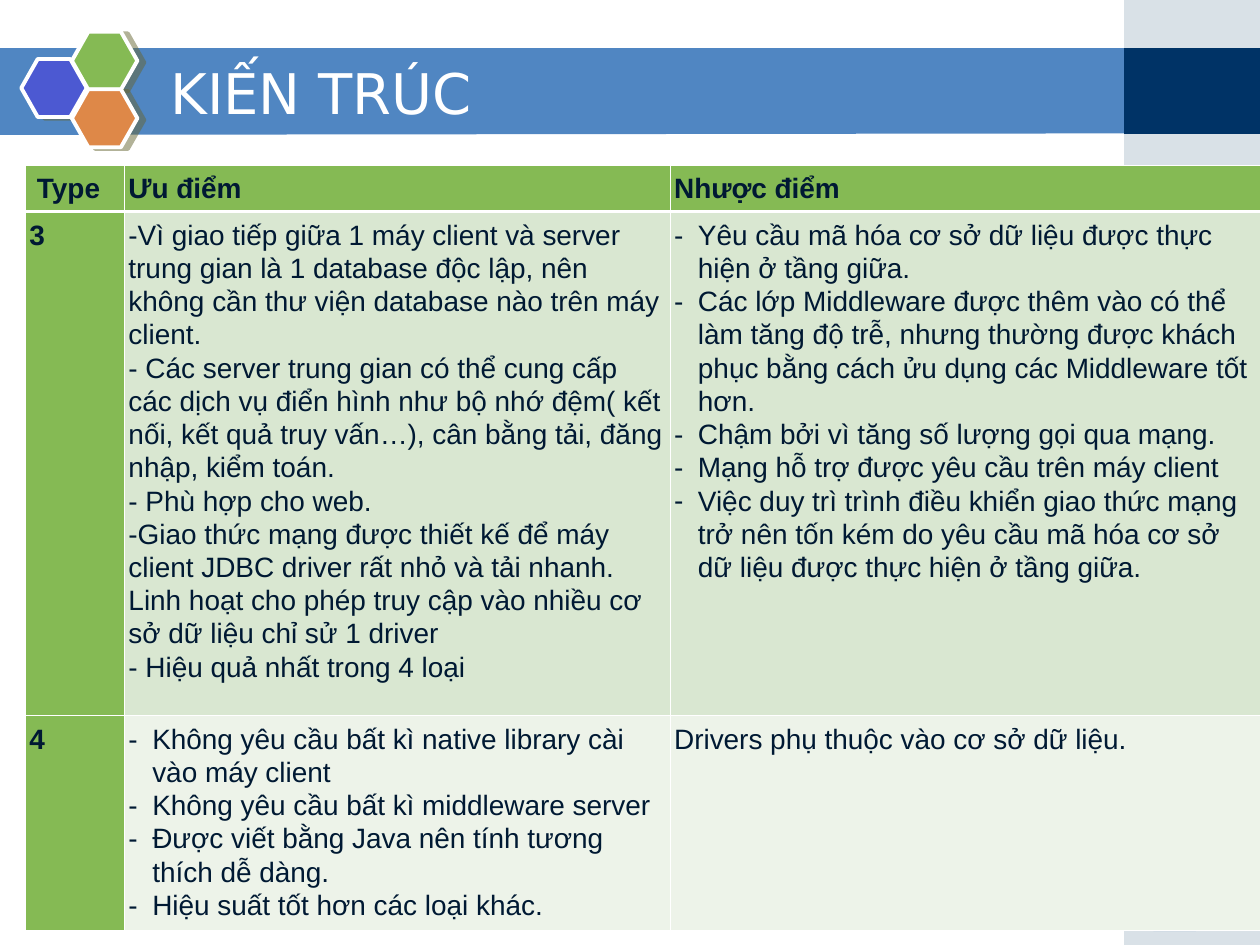
from pptx import Presentation
from pptx.dml.color import RGBColor
from pptx.enum.shapes import MSO_SHAPE
from pptx.enum.text import MSO_ANCHOR, MSO_AUTO_SIZE, PP_ALIGN
from pptx.oxml.ns import qn
from pptx.oxml.xmlchemy import OxmlElement
from pptx.util import Cm, Pt

RECTANGLE = MSO_SHAPE.RECTANGLE
HEXAGON = MSO_SHAPE.HEXAGON
MIDDLE = MSO_ANCHOR.MIDDLE
LEFT = PP_ALIGN.LEFT
NO_AUTOFIT = MSO_AUTO_SIZE.NONE

COLORS = {
    "white": "FFFFFF", "banner": "5086C2", "navy": "003366", "side": "A0B5C4",
    "violet": "4C59D2", "green": "85BA54", "orange": "DE8848",
    "shadow": "666633", "text": "001933", "row 3": "D9E7D1", "row 4": "EDF3E9",
}

HEADERS = [" Type", "Ưu điểm", "Nhược điểm"]
TYPE_3_PROS = [
    "-Vì giao tiếp giữa 1 máy client và server trung gian là 1 database độc lập, "
    "nên không cần thư viện database nào trên máy client.",
    "- Các server trung gian có thể cung cấp các dịch vụ điển hình như bộ nhớ đệm( "
    "kết nối, kết quả truy vấn…), cân bằng tải, đăng nhập, kiểm toán.",
    "- Phù hợp cho web.",
    "-Giao thức mạng được thiết kế để máy client JDBC driver rất nhỏ và tải nhanh.",
    "Linh hoạt cho phép truy cập vào nhiều cơ sở dữ liệu chỉ sử 1 driver",
    "- Hiệu quả nhất trong 4 loại",
]
TYPE_3_CONS = [
    "Yêu cầu mã hóa cơ sở dữ liệu được thực hiện ở tầng giữa.",
    "Các lớp Middleware được thêm vào có thể làm tăng độ trễ, nhưng thường được "
    "khách phục bằng cách ửu dụng các Middleware tốt hơn.",
    "Chậm bởi vì tăng số lượng gọi qua mạng.",
    "Mạng hỗ trợ được yêu cầu trên máy client",
    "Việc duy trì trình điều khiển giao thức mạng trở nên tốn kém do yêu cầu mã hóa "
    "cơ sở dữ liệu được thực hiện ở tầng giữa.",
]
TYPE_4_PROS = [
    "Không yêu cầu bất kì native library cài vào máy client",
    "Không yêu cầu bất kì middleware server",
    "Được viết bằng Java nên tính tương thích dễ dàng.",
    "Hiệu suất tốt hơn các loại khác.",
]
TYPE_4_CONS = ["Drivers phụ thuộc vào cơ sở dữ liệu."]


def rgb(name):
    return RGBColor.from_string(COLORS[name])


def add_child(parent, tag, **attributes):
    child = OxmlElement(tag)
    for key, value in attributes.items():
        child.set(key, str(value))
    parent.append(child)
    return child


def add_dash(paragraph):
    properties = paragraph._p.get_or_add_pPr()
    properties.set("marL", str(Cm(0.48)))
    properties.set("indent", str(-Cm(0.48)))
    bullet_color = add_child(properties, "a:buClr")
    add_child(bullet_color, "a:srgbClr", val=COLORS["text"])
    add_child(properties, "a:buFont", typeface="Arial")
    add_child(properties, "a:buChar", char="-")


def write(frame, lines, size=16, font="Arial", color="text", bold=False,
          spacing=1.07, dashed=False):
    for index, line in enumerate(lines):
        paragraph = frame.paragraphs[0] if index == 0 else frame.add_paragraph()
        if dashed:
            add_dash(paragraph)
        paragraph.alignment = LEFT
        paragraph.line_spacing = spacing
        run = paragraph.add_run()
        run.text = line
        run.font.size = Pt(size)
        run.font.name = font
        run.font.bold = bold
        run.font.color.rgb = rgb(color)


def add_block(shapes, kind, left, top, width, height, color, opacity=100):
    block = shapes.add_shape(kind, Cm(left), Cm(top), Cm(width), Cm(height))
    block.shadow.inherit = False
    block.fill.solid()
    block.fill.fore_color.rgb = rgb(color)
    if opacity < 100:
        fill_color = block._element.spPr.find(".//" + qn("a:srgbClr"))
        add_child(fill_color, "a:alpha", val=opacity * 1000)
    block.line.fill.background()
    return block


def add_emblem_cell(shapes, left, top, color):
    cell = add_block(shapes, HEXAGON, left, top, 1.32, 1.17, color)
    cell.adjustments[0] = 0.283
    cell.line.color.rgb = rgb("white")
    cell.line.width = Pt(2.25)
    effects = cell._element.spPr.find(qn("a:effectLst"))
    shadow = add_child(effects, "a:outerShdw", dist=Pt(4.1), dir=14 * 60000,
                       algn="ctr", rotWithShape=0)
    shadow_color = add_child(shadow, "a:srgbClr", val=COLORS["shadow"])
    add_child(shadow_color, "a:alpha", val=50000)


def add_banner(shapes):
    outline = shapes.build_freeform(Cm(-0.03), Cm(0.97))
    outline.add_line_segments([(Cm(22.73), Cm(0.97)), (Cm(22.73), Cm(2.69)),
                               (Cm(-0.03), Cm(2.72))])
    banner = outline.convert_to_shape()
    banner.shadow.inherit = False
    banner.fill.solid()
    banner.fill.fore_color.rgb = rgb("banner")
    banner.line.fill.background()


def add_decoration(shapes):
    add_banner(shapes)
    # Side strip
    strip = shapes.add_group_shape().shapes
    add_block(strip, RECTANGLE, 22.66, 0, 2.74, 19.05, "side", 40)
    add_block(strip, RECTANGLE, 22.66, 0.97, 2.74, 1.73, "navy")
    # Pale hexagons at the foot
    for left, top in [(21.39, 16.51), (22.86, 15.67), (22.83, 17.3)]:
        pale = add_block(shapes, HEXAGON, left, top, 1.7, 1.47, "banner", 35)
        pale.adjustments[0] = 0.286
    # Emblem beside the title
    emblem = shapes.add_group_shape().shapes
    for left, top, color in [(0.43, 1.19, "violet"), (1.45, 0.64, "green"),
                             (1.45, 1.8, "orange")]:
        add_emblem_cell(emblem, left, top, color)


def add_title(slide, text):
    title = slide.shapes.title
    slide.shapes._spTree.append(title._element)  # in front of the banner
    title.left, title.top = Cm(3.18), Cm(1.07)
    title.width, title.height = Cm(18.62), Cm(1.57)
    title.text_frame.vertical_anchor = MIDDLE
    title.text_frame.auto_size = NO_AUTOFIT
    write(title.text_frame, [text], size=32, font="DejaVu Sans", color="white",
          spacing=1.0)


def set_borders(cell, top, bottom):
    properties = cell._tc.get_or_add_tcPr()
    widths = {"a:lnL": 0.45, "a:lnR": 0.45, "a:lnT": top, "a:lnB": bottom}
    for position, (tag, width) in enumerate(widths.items()):
        border = OxmlElement(tag)
        border.set("w", str(Pt(width)))
        add_child(add_child(border, "a:solidFill"), "a:srgbClr", val=COLORS["white"])
        properties.insert(position, border)


def fill_cell(cell, lines, color, top=0.45, bottom=0.45, **text_format):
    cell.margin_left = cell.margin_right = Cm(0.08)
    cell.margin_top = cell.margin_bottom = Cm(0.13)
    cell.fill.solid()
    cell.fill.fore_color.rgb = rgb(color)
    set_borders(cell, top, bottom)
    write(cell.text_frame, lines, **text_format)


def add_comparison(shapes):
    table = shapes.add_table(3, 3, Cm(0.51), Cm(3.33), Cm(24.9), Cm(15.24)).table
    for column, width in zip(table.columns, (2, 11, 11.9)):
        column.width = Cm(width)
    for row, height in zip(table.rows, (0.74, 10.16, 4.34)):
        row.height = Cm(height)

    for column, header in enumerate(HEADERS):
        fill_cell(table.cell(0, column), [header], "green", bottom=1.47, bold=True)

    # Driver type, row colour, top border, then (lines, dashed) for pros and cons
    drivers = [("3", "row 3", 1.47, (TYPE_3_PROS, False), (TYPE_3_CONS, True)),
               ("4", "row 4", 0.45, (TYPE_4_PROS, True), (TYPE_4_CONS, False))]
    for row, (driver, color, top, *opinions) in enumerate(drivers, start=1):
        fill_cell(table.cell(row, 0), [driver], "green", top=top, bold=True)
        for column, (lines, dashed) in enumerate(opinions, start=1):
            fill_cell(table.cell(row, column), lines, color, top=top, dashed=dashed)


def main():
    presentation = Presentation()
    presentation.slide_width, presentation.slide_height = Cm(25.4), Cm(19.05)
    slide = presentation.slides.add_slide(presentation.slide_layouts[5])
    add_decoration(slide.shapes)
    add_title(slide, "KIẾN TRÚC")
    add_comparison(slide.shapes)
    presentation.save("out.pptx")


if __name__ == "__main__":
    main()
